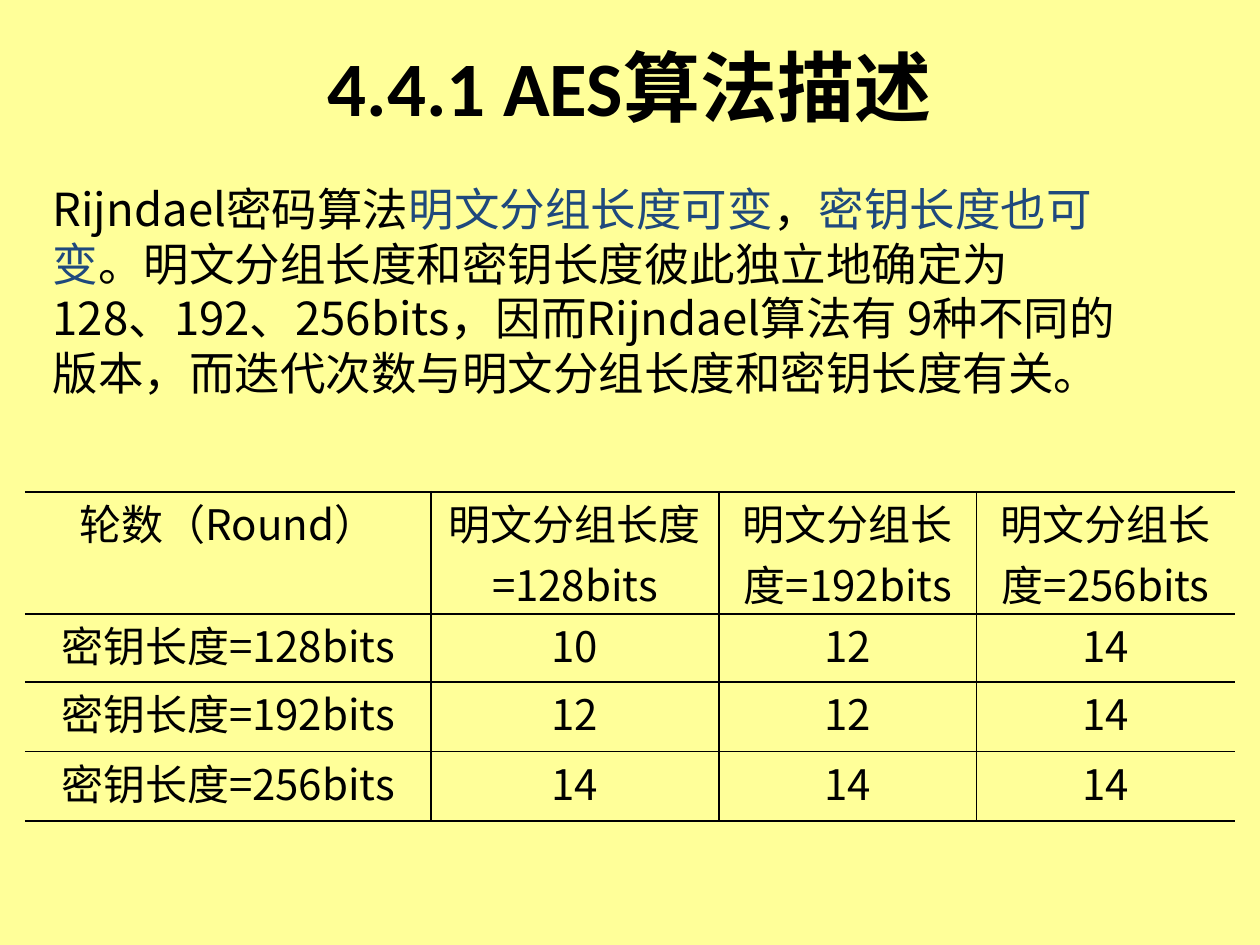
from dataclasses import dataclass

import lxml.etree
import pptx
import pptx.dml.color
import pptx.enum.text
import pptx.oxml.ns
import pptx.util

Cm = pptx.util.Cm
Pt = pptx.util.Pt
Rgb = pptx.dml.color.RGBColor
Align = pptx.enum.text.PP_ALIGN
Anchor = pptx.enum.text.MSO_ANCHOR
qn = pptx.oxml.ns.qn


@dataclass(frozen=True)
class Theme:
    paper: str = "FFFF99"
    ink: str = "000000"
    accent: str = "1F497D"
    latin: str = "Calibri"
    han: str = "Noto Sans CJK SC"
    title: int = 44
    body: int = 26
    cell: int = 24
    thick: float = 1.5
    thin: float = 1


@dataclass(frozen=True)
class Box:
    left: float
    top: float
    width: float
    height: float

    def place(self) -> list:
        return [Cm(v) for v in (self.left, self.top, self.width, self.height)]


@dataclass(frozen=True)
class Span:
    text: str
    color: str


THEME = Theme()
TITLE = Box(1.9, 0.34, 21.6, 2.77)
BODY = Box(0.81, 3.53, 23.5, 5.79)
COLS = (8.19, 5.8, 5.2, 5.2)
ROWS = (2.46, 1.37, 1.4, 1.4)
GRID = Box(0.5, 9.92, sum(COLS), sum(ROWS))
SIZES = (128, 192, 256)
ROUNDS = ((10, 12, 14), (12, 12, 14), (14, 14, 14))

SPANS = (
    Span("Rijndael密码算法", THEME.ink),
    Span("明文分组长度可变", THEME.accent),
    Span("，", THEME.ink),
    Span("密钥长度也可变", THEME.accent),
    Span("。明文分组长度和密钥长度彼此独立地确定为128、192、256bits，"
         "因而Rijndael算法有 9种不同的版本，"
         "而迭代次数与明文分组长度和密钥长度有关。", THEME.ink),
)


def style(para, size: int, face: str, bold: bool = False) -> None:
    font = para.font
    font.size, font.name, font.bold = Pt(size), face, bold
    font.color.rgb = Rgb.from_string(THEME.ink)
    # East Asian face follows the Latin one
    latin = font._element.find(qn("a:latin"))
    east = lxml.etree.Element(qn("a:ea"), typeface=THEME.han)
    latin.addnext(east)


def add_box(slide, box: Box):
    frame = slide.shapes.add_textbox(*box.place()).text_frame
    frame.word_wrap = True
    return frame


def edge(cell, side: str, width: float) -> None:
    """Draw one cell border; a width of 0 leaves the side open."""
    line = lxml.etree.SubElement(
        cell._tc.get_or_add_tcPr(), qn(f"a:ln{side}"), w=str(int(Pt(width))))
    if not width:
        lxml.etree.SubElement(line, qn("a:noFill"))
        return
    fill = lxml.etree.SubElement(line, qn("a:solidFill"))
    lxml.etree.SubElement(fill, qn("a:srgbClr"), val=THEME.ink)


def fill_cell(cell, text: str, row: int, col: int) -> None:
    cell.margin_left = cell.margin_right = Cm(0.18)
    cell.margin_top = cell.margin_bottom = 0
    para = cell.text_frame.paragraphs[0]
    para.text = text
    para.alignment = Align.CENTER
    style(para, THEME.cell, THEME.han)
    edge(cell, "L", THEME.thin if col else 0)
    edge(cell, "R", THEME.thin if col < len(COLS) - 1 else 0)
    edge(cell, "T", THEME.thin if row else THEME.thick)
    edge(cell, "B", THEME.thin if row < len(ROWS) - 1 else THEME.thick)
    cell.fill.background()


def add_grid(slide, data: list[list[str]]) -> None:
    table = slide.shapes.add_table(len(ROWS), len(COLS), *GRID.place()).table
    table.first_row = table.horz_banding = False
    for col, width in zip(table.columns, COLS):
        col.width = Cm(width)
    for row, height in zip(table.rows, ROWS):
        row.height = Cm(height)
    for r, texts in enumerate(data):
        for c, text in enumerate(texts):
            fill_cell(table.cell(r, c), text, r, c)


def main() -> None:
    deck = pptx.Presentation()
    deck.slide_width, deck.slide_height = Cm(25.4), Cm(19.05)
    slide = deck.slides.add_slide(deck.slide_layouts[6])
    back = slide.background.fill
    back.solid()
    back.fore_color.rgb = Rgb.from_string(THEME.paper)

    # Title
    frame = add_box(slide, TITLE)
    frame.vertical_anchor = Anchor.MIDDLE
    para = frame.paragraphs[0]
    para.text = "4.4.1 AES算法描述"
    para.alignment = Align.CENTER
    style(para, THEME.title, THEME.latin, bold=True)

    # Body text
    frame = add_box(slide, BODY)
    frame.margin_right = Cm(1.53)
    para = frame.paragraphs[0]
    para.space_before = Pt(2)
    style(para, THEME.body, THEME.han)
    for span in SPANS:
        run = para.add_run()
        run.text = span.text
        run.font.color.rgb = Rgb.from_string(span.color)

    # Table of rounds by block and key length
    head = ["轮数（Round）"]
    for size in SIZES:
        gap = " " if size == SIZES[0] else ""
        head.append(f"明文分组长度{gap}={size}bits")
    rows = [[f"密钥长度={size}bits", *map(str, counts)]
            for size, counts in zip(SIZES, ROUNDS)]
    add_grid(slide, [head, *rows])

    deck.save("out.pptx")


if __name__ == "__main__":
    main()
